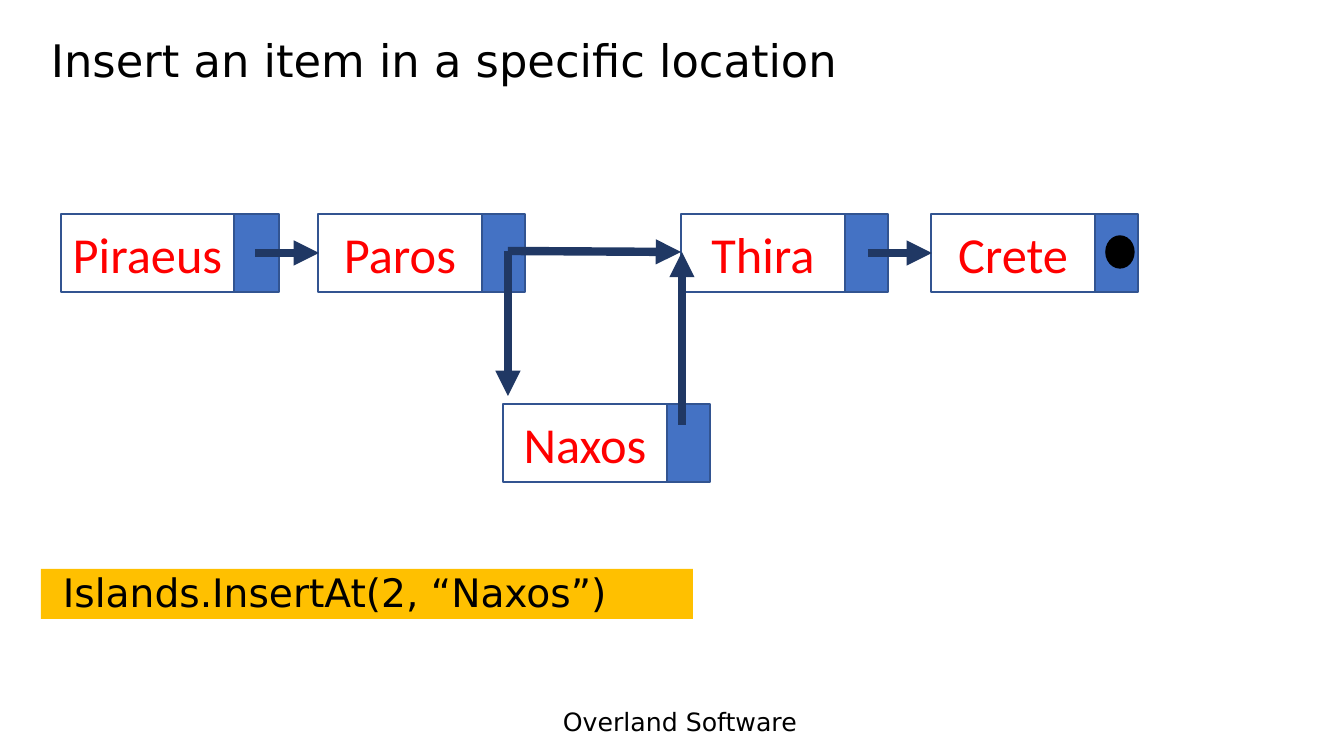
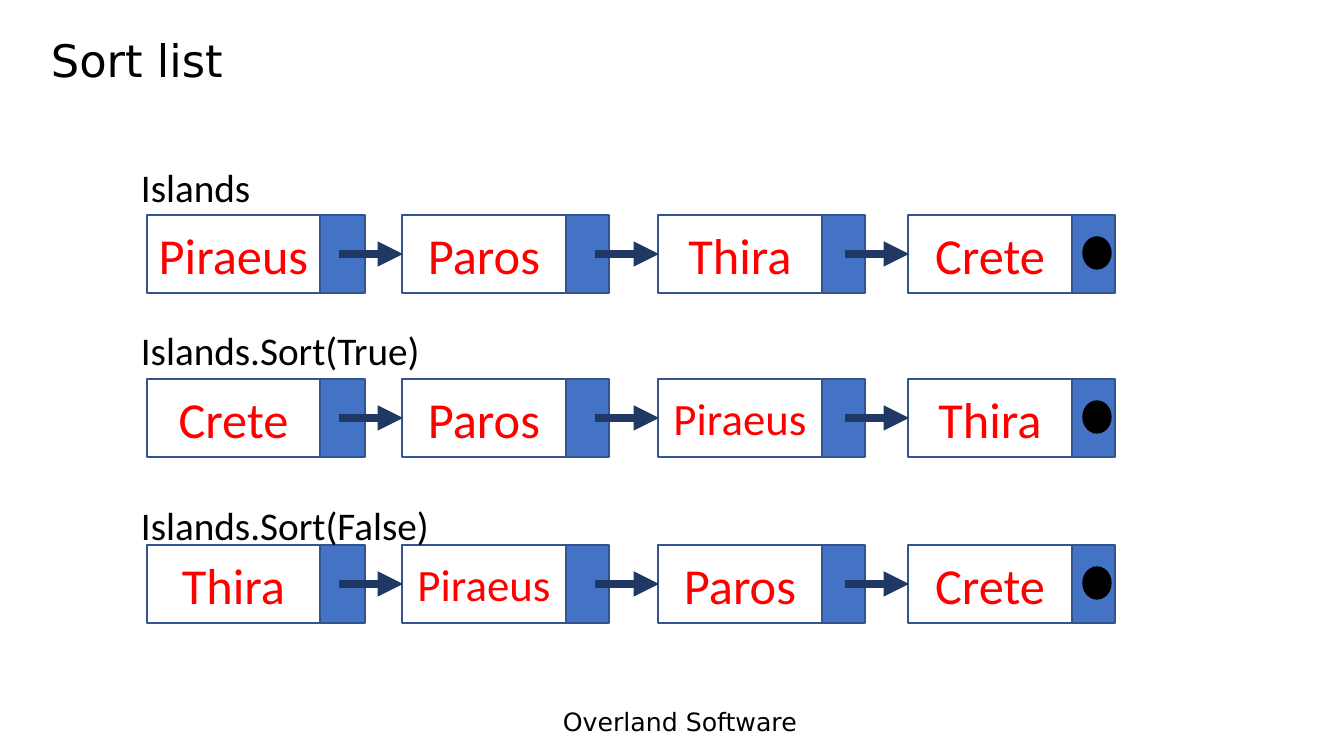
import pptx
import pptx.util
import pptx.dml.color
import pptx.enum.shapes
import pptx.enum.text
import pptx.oxml.ns
import lxml.etree

SCALE = 914400 / 100.8
COLORS = {"black": "000000", "red": "FF0000", "blue": "4472C4",
          "edge": "325491", "navy": "203864", "gold": "FFC000"}
SANS = "DejaVu Sans"
BODY = "Calibri"
HIGH = 78
BOX = pptx.enum.shapes.MSO_SHAPE.RECTANGLE
OVAL = pptx.enum.shapes.MSO_SHAPE.OVAL
MIDDLE = pptx.enum.text.MSO_ANCHOR.MIDDLE
CENTER = pptx.enum.text.PP_ALIGN.CENTER


def px(*sizes):
    return [round(size * SCALE) for size in sizes]


def rgb(name):
    return pptx.dml.color.RGBColor.from_string(COLORS[name])


def write(shape, text, size, font, color="black"):
    line = shape.text_frame.paragraphs[0]
    run = line.add_run()
    run.text = text
    run.font.size = pptx.util.Pt(size)
    run.font.name = font
    run.font.color.rgb = rgb(color)
    return line


def add_text(slide, area, text, size, font, wrap=True):
    box = slide.shapes.add_textbox(*px(*area))
    box.text_frame.word_wrap = wrap
    return box, write(box, text, size, font)


def add_shape(shapes, kind, area, fill=None, edge=None):
    shape = shapes.add_shape(kind, *px(*area))
    shape.shadow.inherit = False
    if fill:
        shape.fill.solid()
        shape.fill.fore_color.rgb = rgb(fill)
    else:
        shape.fill.background()
    if edge:
        shape.line.color.rgb = rgb(edge)
        shape.line.width = pptx.util.Pt(1)
    else:
        shape.line.fill.background()
    return shape


def add_node(slide, left, top, name, wide=164, tail=43, size=36):
    group = slide.shapes.add_group_shape()
    cell = add_shape(group.shapes, BOX, (left, top, wide, HIGH), edge="edge")
    cell.text_frame.word_wrap = True
    cell.text_frame.vertical_anchor = MIDDLE
    write(cell, name, size, BODY, "red").alignment = CENTER
    add_shape(group.shapes, BOX, (left + wide, top, tail, HIGH), "blue", "edge")


def add_end(slide, left, top):
    add_shape(slide.shapes, OVAL, (left + 175, top + 22, 28, 32), "black", "black")


def add_arrow(slide, *ends):
    arrow = slide.shapes.add_connector(
        pptx.enum.shapes.MSO_CONNECTOR.STRAIGHT, *px(*ends))
    arrow.line.color.rgb = rgb("navy")
    arrow.line.width = pptx.util.Pt(6)
    qn = pptx.oxml.ns.qn
    lxml.etree.SubElement(arrow.line._get_or_add_ln(), qn("a:tailEnd"), type="triangle")
    lxml.etree.SubElement(arrow._element.spPr, qn("a:effectLst"))


def add_link(slide, left, top):
    add_arrow(slide, left - 63, top + 39, left + 1, top + 39)


def add_slide(deck, title):
    slide = deck.slides.add_slide(deck.slide_layouts[6])
    add_text(slide, (553, 701, 292, 40), "Overland Software", 18, SANS)
    box, line = add_text(slide, (41, 15, 1211, 96), title, 32, SANS)
    box.text_frame.vertical_anchor = MIDDLE
    line.line_spacing = 0.9
    return slide


def add_chain(slide, top, names):
    lefts = (147, 402, 658, 908)
    for spot, (left, name) in enumerate(zip(lefts, names)):
        wide, tail = (173, 45) if spot == 0 else (164, 43)
        size = 32 if name == "Piraeus" and spot else 36
        add_node(slide, left, top, name, wide, tail, size)
    for left in lefts[1:]:
        add_link(slide, left, top)
    add_end(slide, lefts[-1], top)


def insert_slide(deck):
    slide = add_slide(deck, "Insert an item in a specific location")
    top = 214
    add_shape(slide.shapes, BOX, (41, 569, 652, 50), "gold")
    add_node(slide, 61, top, "Piraeus", 173, 45)
    for left, high, name in ((318, top, "Paros"), (681, top, "Thira"),
                             (503, 404, "Naxos"), (931, top, "Crete")):
        add_node(slide, left, high, name)
    for left in (318, 931):
        add_link(slide, left, top)
    add_arrow(slide, 508, 251, 508, 396)
    add_arrow(slide, 682, 425, 682, 252)
    add_arrow(slide, 508, 251, 681, 252)
    add_end(slide, 931, top)
    add_text(slide, (53, 563, 605, 57), "Islands.InsertAt(2, “Naxos”)", 28, SANS)


def sort_slide(deck):
    slide = add_slide(deck, "Sort list")
    rows = (
        (215, 158, 131, "Islands", ("Piraeus", "Paros", "Thira", "Crete")),
        (379, 321, 302, "Islands.Sort(True)", ("Crete", "Paros", "Piraeus", "Thira")),
        (545, 496, 311, "Islands.Sort(False)", ("Thira", "Piraeus", "Paros", "Crete")),
    )
    for top, head, wide, label, names in rows:
        add_chain(slide, top, names)
        add_text(slide, (131, head, wide, 57), label, 28, BODY, wrap=False)


def main():
    deck = pptx.Presentation()
    deck.slide_width, deck.slide_height = px(1344, 756)
    insert_slide(deck)
    sort_slide(deck)
    deck.save("out.pptx")


main()
